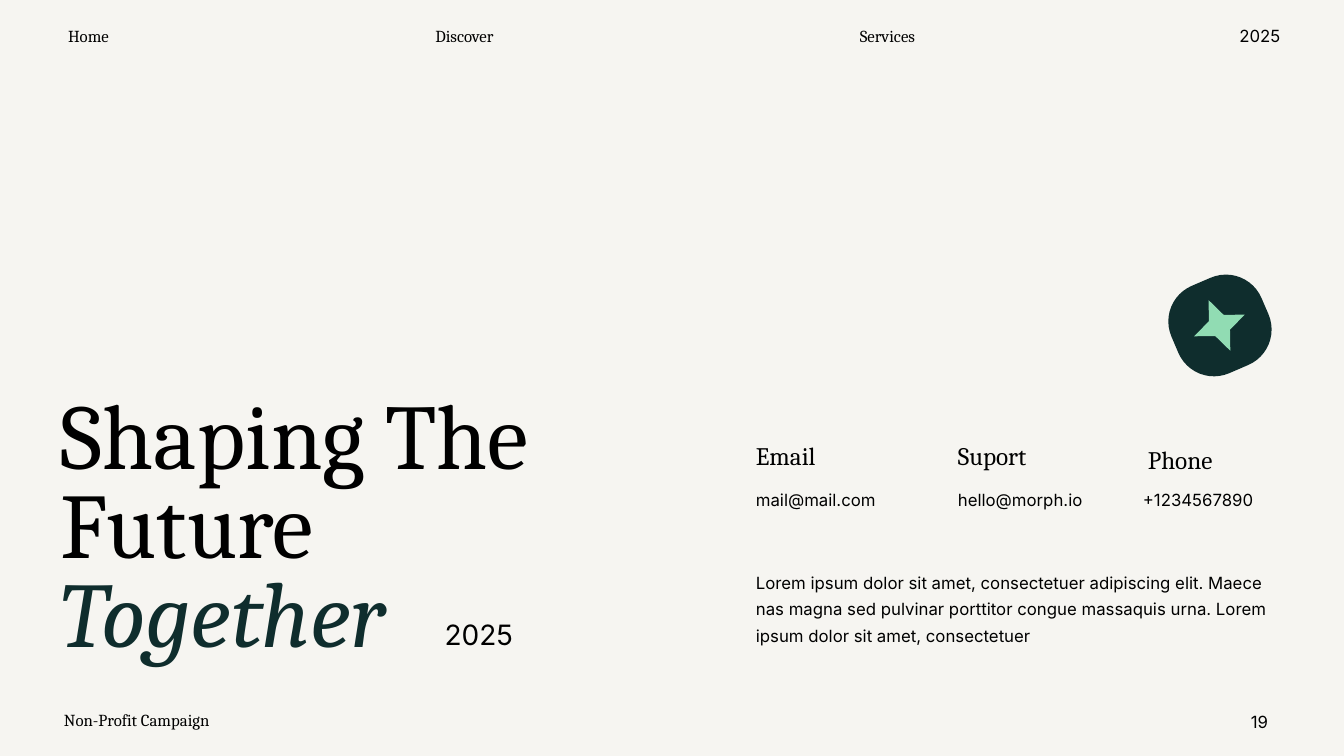
from pptx import Presentation
from pptx.dml.color import RGBColor
from pptx.enum.shapes import MSO_SHAPE
from pptx.enum.text import MSO_AUTO_SIZE, PP_ALIGN
from pptx.util import Emu, Pt

THEME = {
    "paper": RGBColor.from_string("F6F5F1"),
    "ink": RGBColor.from_string("000000"),
    "pine": RGBColor.from_string("0F2D2D"),
    "mint": RGBColor.from_string("91DCB3"),
    "serif": "Cambria",
    "sans": "Inter",
    "small": 12,
    "label": 18,
    "year": 20,
    "title": 66,
}
LEFT, CENTER, RIGHT = PP_ALIGN.LEFT, PP_ALIGN.CENTER, PP_ALIGN.RIGHT

NAV = [
    ("Home", 54, 69, "serif"),
    ("Discover", 419, 91, "serif"),
    ("Services", 844, 87, "serif"),
    ("2025", 1229, 62, "sans"),
]
FOOTER = [
    ("Non-Profit Campaign", (54, 705, 291, 30), "serif", LEFT),
    ("19", (1209, 707, 69, 30), "sans", RIGHT),
]
TITLE = [("Shaping The Future ", {}), ("Together", {"color": "pine", "italic": True})]
CONTACTS = [
    ("Email", (746, 426), "mail@mail.com", 746),
    ("Suport", (948, 426), "hello@morph.io", 948),
    ("Phone", (1138, 430), "+1234567890", 1133),
]
BODY = [
    "Lorem ipsum dolor sit amet, consectetuer adipiscing elit. Maece",
    "nas magna sed pulvinar porttitor congue massaquis urna. "
    "Lorem ipsum dolor sit amet, consectetuer",
]
BADGE = [
    (MSO_SHAPE.ROUNDED_RECTANGLE, (1171, 278, 98, 95), 0.407, "pine"),
    (MSO_SHAPE.STAR_4_POINT, (1192, 298, 55, 55), 0.207, "mint"),
]
BADGE_TURN = 336.8
CONTACT_Y = 479
LOOSE, TIGHT = 1.3, 0.8


def px(n):
    return Emu(round(n * 914400 / 100.8))


def add_text(s, box, paragraphs, face, size, align=LEFT, spacing=None, wrap=True):
    tf = s.shapes.add_textbox(*map(px, box)).text_frame
    tf.word_wrap = wrap
    tf.auto_size = MSO_AUTO_SIZE.SHAPE_TO_FIT_TEXT
    for i, runs in enumerate(paragraphs):
        p = tf.add_paragraph() if i else tf.paragraphs[0]
        for name, value in {"alignment": align, "line_spacing": spacing}.items():
            setattr(p, name, value)
        for text, style in runs:
            r = p.add_run()
            r.text = text
            font = {"name": THEME[face], "size": Pt(THEME[size]),
                    "italic": style.get("italic")}
            for name, value in font.items():
                setattr(r.font, name, value)
            r.font.color.rgb = THEME[style.get("color", "ink")]


def plain(*lines):
    return [[(line, {})] for line in lines]


def main():
    prs = Presentation()
    prs.slide_width, prs.slide_height = px(1344), px(756)
    s = prs.slides.add_slide(prs.slide_layouts[6])
    s.background.fill.solid()
    s.background.fill.fore_color.rgb = THEME["paper"]

    for text, x, w, face in NAV:
        add_text(s, (x, 21, w, 30), plain(text), face, "small", CENTER, wrap=False)
    for text, box, face, align in FOOTER:
        add_text(s, box, plain(text), face, "small", align)

    add_text(s, (51, 394, 508, 279), [TITLE], "serif", "title", spacing=TIGHT)
    add_text(s, (424, 613, 99, 44), plain("2025"), "sans", "year", RIGHT)

    for label, (x, y), value, value_x in CONTACTS:
        add_text(s, (x, y, 180, 47), plain(label), "serif", "label", spacing=LOOSE)
        add_text(s, (value_x, CONTACT_Y, 180, 42), plain(value), "sans", "small",
                 spacing=LOOSE)
    add_text(s, (746, 562, 552, 87), plain(*BODY), "sans", "small", spacing=LOOSE)

    for kind, box, adjust, color in BADGE:
        sp = s.shapes.add_shape(kind, *map(px, box))
        sp.adjustments[0] = adjust
        sp.rotation = BADGE_TURN
        sp.shadow.inherit = False
        sp.fill.solid()
        sp.fill.fore_color.rgb = THEME[color]
        sp.line.fill.background()

    prs.save("out.pptx")


if __name__ == "__main__":
    main()
